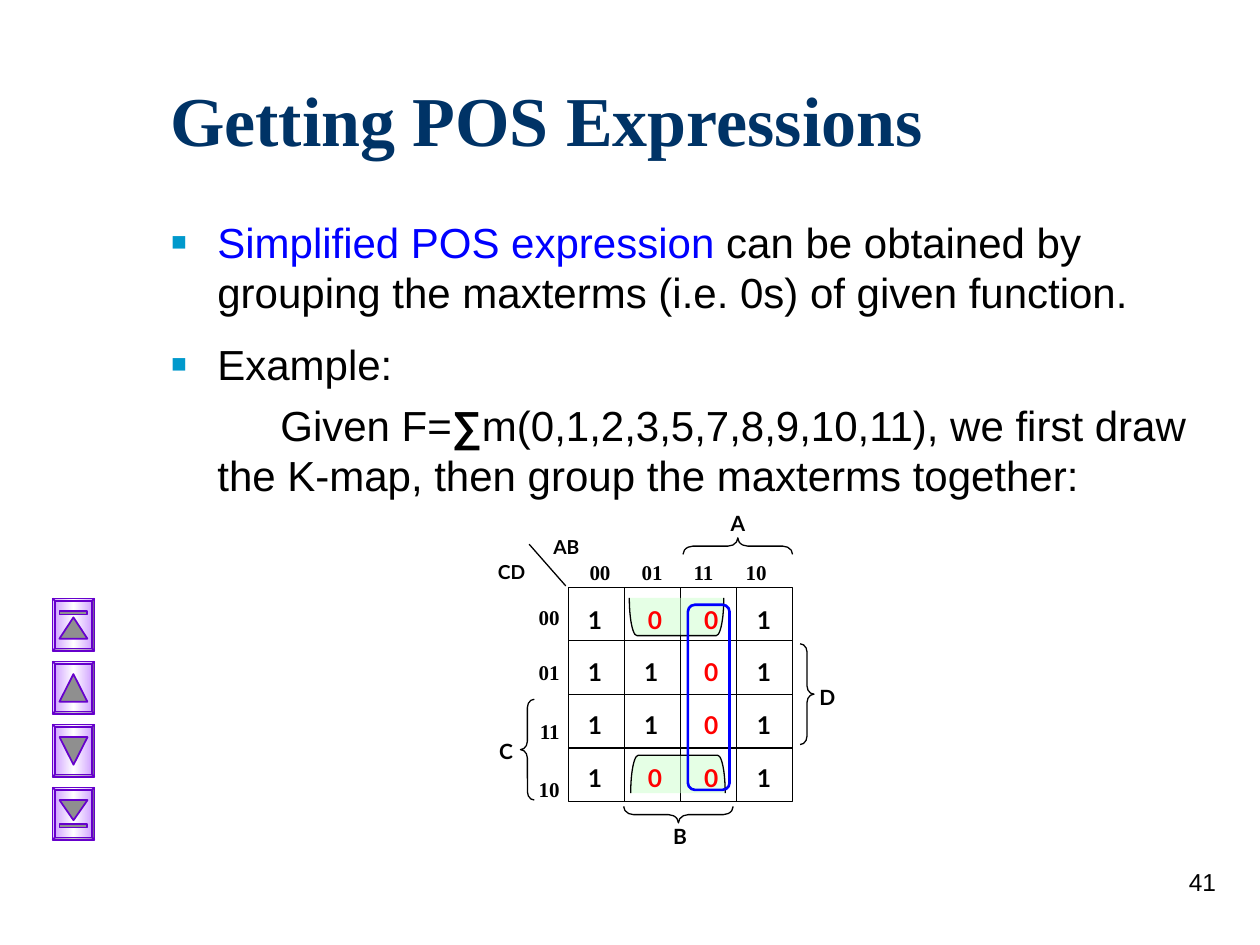
import copy

import pptx
import pptx.util
from lxml import etree
from pptx.dml.color import RGBColor
from pptx.enum.shapes import MSO_CONNECTOR, MSO_SHAPE
from pptx.enum.text import MSO_ANCHOR, MSO_AUTO_SIZE, PP_ALIGN
from pptx.oxml.ns import qn

Pt = pptx.util.Pt
COLORS = {
    name: RGBColor.from_string(value)
    for name, value in {
        "title": "003366", "term": "0000FF", "text": "000000", "bullet": "0099CC",
        "zero": "FF0000", "group": "CCFFCC", "loop": "0000FF", "button": "CC99FF",
        "shine": "FFFFFF", "edge": "6600CC", "arrow": "8F8F8F",
    }.items()
}

prs = pptx.Presentation()
prs.slide_width, prs.slide_height = Pt(720), Pt(540)
s = prs.slides.add_slide(prs.slide_layouts[1])


def add_text(box, text, size, font="Lato", align=PP_ALIGN.CENTER, bold=True, color="text"):
    """Add a one-line text box at box (left, top, width, height) and return its paragraph."""
    tf = s.shapes.add_textbox(*map(Pt, box)).text_frame
    tf.word_wrap = True
    p = tf.paragraphs[0]
    p.alignment = align
    r = p.add_run()
    r.text = text
    r.font.size, r.font.name, r.font.bold = Pt(size), font, bold
    r.font.color.rgb = COLORS[color]
    return p


def add_outline(kind, box, color="text", width=0.75, fill=None, rotation=0, adjust=None):
    """Add a preset shape with a plain outline and an optional solid fill."""
    sp = s.shapes.add_shape(kind, *map(Pt, box))
    sp.shadow.inherit = False
    sp.rotation = rotation
    sp.line.color.rgb, sp.line.width = COLORS[color], Pt(width)
    if fill:
        sp.fill.solid()
        sp.fill.fore_color.rgb = COLORS[fill]
    else:
        sp.fill.background()
    if adjust is not None:
        sp.adjustments[0] = adjust
    return sp


# Title
title = s.shapes.title
title.left, title.top, title.width, title.height = map(Pt, (90, 36, 612, 63))
tf = title.text_frame
tf.auto_size, tf.vertical_anchor = MSO_AUTO_SIZE.NONE, MSO_ANCHOR.MIDDLE
p = tf.paragraphs[0]
p.alignment = PP_ALIGN.LEFT
r = p.add_run()
r.text = "Getting POS Expressions"
r.font.size, r.font.name, r.font.bold = Pt(40), "Times New Roman", True
r.font.color.rgb = COLORS["title"]

# Bullet list: (space before, bulleted, runs of (text, color, bold))
paragraphs = [
    (0, True, [("Simplified POS expression", "term", False),
               (" can be obtained by grouping the maxterms (i.e. 0s) of given function.",
                "text", False)]),
    (12, True, [("Example:", "text", False)]),
    (6, False, [("\t\tGiven F=", "text", False), ("∑", "text", True),
                ("m(0,1,2,3,5,7,8,9,10,11), we first draw \tthe K-map, "
                 "then group the maxterms together:", "text", False)]),
]
body = s.placeholders[1]
body.left, body.top, body.width, body.height = map(Pt, (90, 120, 612, 174))
tf = body.text_frame
tf.auto_size = MSO_AUTO_SIZE.NONE
for i, (before, bulleted, runs) in enumerate(paragraphs):
    p = tf.paragraphs[0] if i == 0 else tf.add_paragraph()
    p.space_before = Pt(before)
    pPr = p._p.get_or_add_pPr()
    pPr.set("marL", str(Pt(27)))
    pPr.set("indent", str(Pt(-27)))
    if bulleted:
        color = etree.SubElement(pPr, qn("a:buClr"))
        etree.SubElement(color, qn("a:srgbClr"), val=str(COLORS["bullet"]))
        etree.SubElement(pPr, qn("a:buSzPct"), val="120000")
        etree.SubElement(pPr, qn("a:buChar"), char="▪")
    else:
        etree.SubElement(pPr, qn("a:buNone"))
        tabs = etree.SubElement(pPr, qn("a:tabLst"))
        for stop in (0, 72):
            etree.SubElement(tabs, qn("a:tab"), pos=str(Pt(stop)), algn="l")
    for text, color, bold in runs:
        r = p.add_run()
        r.text = text
        r.font.size, r.font.name, r.font.bold = Pt(24), "Arial", bold
        r.font.color.rgb = COLORS[color]

# K-map grid
LEFT, TOP, COL, ROW = 324.8, 335.6, 32, 30.6
grid = add_outline(MSO_SHAPE.RECTANGLE, (LEFT, TOP, 4 * COL, 4 * ROW))
lines = [(374.4 - 72, 311, 323.3, 334.8)]
for i in (1, 2, 3):
    x, y = LEFT + i * COL, TOP + i * ROW
    lines += [(x, TOP, x, TOP + 4 * ROW), (LEFT, y, LEFT + 4 * COL, y)]
for x1, y1, x2, y2 in lines:
    line = s.shapes.add_connector(MSO_CONNECTOR.STRAIGHT, *map(Pt, (x1, y1, x2, y2)))
    line.line.color.rgb, line.line.width = COLORS["text"], Pt(0.75)
    etree.SubElement(line._element.spPr, qn("a:effectLst"))
    if x1 == x2 == LEFT + 2 * COL:
        line.begin_connect(grid, 0)
        line.end_connect(grid, 2)
    elif y1 == y2 == TOP + 2 * ROW:
        line.begin_connect(grid, 1)
        line.end_connect(grid, 3)

# Variable braces and labels
for kind, box, rotation in [
    (MSO_SHAPE.LEFT_BRACE, (297.4, 399.6, 7.9, 57.6), 0),
    (MSO_SHAPE.LEFT_BRACE, (416.9, 280.8, 9.4, 62.6), 90),
    (MSO_SHAPE.LEFT_BRACE, (383, 434.2, 9.4, 62.6), 270),
    (MSO_SHAPE.RIGHT_BRACE, (457.2, 367.9, 7.9, 57.6), 0),
]:
    add_outline(kind, box, rotation=rotation, adjust=0.6)
for text, x, y, width, size in [
    ("A", 409.7, 288, 24, 12), ("B", 376.6, 467.3, 24, 12), ("C", 277.2, 418.3, 24, 12),
    ("D", 460.8, 387.4, 24, 12), ("AB", 305.3, 302.4, 36.7, 11), ("CD", 270, 316.8, 44.6, 11),
]:
    add_text((x, y, width, 21), text, size)

# Column and row codes
p = add_text((329.8, 316.1, 119.5, 24.5), "00\t01\t11\t10", 12, "Times New Roman", PP_ALIGN.LEFT)
tabs = etree.SubElement(p._p.get_or_add_pPr(), qn("a:tabLst"))
for i in (1, 2, 3):
    etree.SubElement(tabs, qn("a:tab"), pos=str(Pt(29.75 * i)), algn="l")
first = add_text((298.8, 342, 28.1, 126.7), "00", 12, "Times New Roman", PP_ALIGN.RIGHT)
for code, before in (("01", 17), ("11", 19), ("10", 19)):
    p = copy.deepcopy(first._p)
    first._p.getparent().append(p)
    p = type(first)(p, first._parent)
    p.space_before = Pt(before)
    p.runs[0].text = code

# Maxterm group wrapping from the top row to the bottom row
for box, rotation in (((376.6, 415.4, 21.6, 54), 90), ((375.8, 325.4, 21.6, 54), 270)):
    sp = add_outline(MSO_SHAPE.LEFT_BRACKET, box, fill="group", rotation=rotation, adjust=0.2)
    rgb = sp._element.spPr.find(qn("a:solidFill")).find(qn("a:srgbClr"))
    etree.SubElement(rgb, qn("a:alpha"), val="50000")

# Cell values; zeros sit slightly right of the ones
for row, values in enumerate(("1001", "1101", "1101", "1001")):
    for col, value in enumerate(values):
        zero = value == "0"
        add_text((324 + 32.2 * col + 2 * zero, 342 + 30.2 * row, 32, 24.5), value, 14,
                 color="zero" if zero else "text")
add_outline(MSO_SHAPE.ROUNDED_RECTANGLE, (393.1, 345.6, 23.8, 105.8), "loop", 1.5)

# Navigation buttons: (arrow top, arrow height, rotation, bar top)
for i, (arrow_top, arrow_height, rotation, bar_top) in enumerate(
    [(10.8, 12.2, 0, 7.2), (7.2, 15.8, 0, None), (7.2, 15.8, 180, None), (7.2, 11.5, 180, 20.9)]
):
    top = 342 + 36 * i
    sp = add_outline(MSO_SHAPE.BEVEL, (30, top, 24, 30), "edge", 1, adjust=0.06)
    sp.fill.gradient()
    sp.fill.gradient_angle = 0
    stops = sp._element.spPr.find(qn("a:gradFill")).find(qn("a:gsLst"))
    stops.insert(1, copy.deepcopy(stops[0]))
    for stop, position, color in zip(sp.fill.gradient_stops, (0, 0.5, 1),
                                     ("button", "shine", "button")):
        stop.position = position
        stop.color.rgb = COLORS[color]
    add_outline(MSO_SHAPE.ISOSCELES_TRIANGLE, (34, top + arrow_top, 16, arrow_height),
                "edge", 1, "arrow", rotation)
    if bar_top:
        add_outline(MSO_SHAPE.RECTANGLE, (34, top + bar_top, 16, 2), "edge", 1, "arrow")

# Slide number
add_text((552, 492, 150, 36), "41", 14, "Arial", PP_ALIGN.RIGHT, bold=False)

prs.save("out.pptx")
